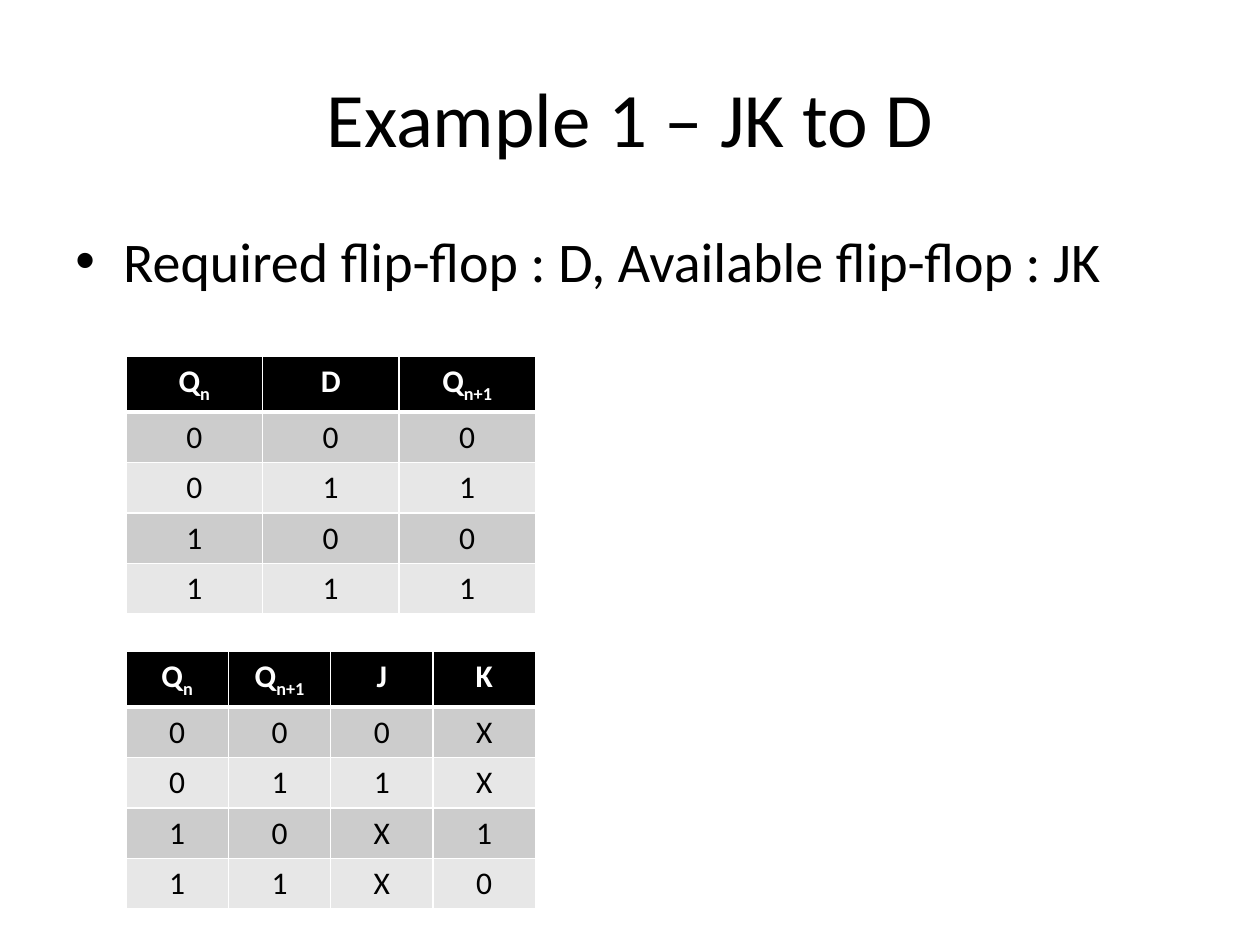
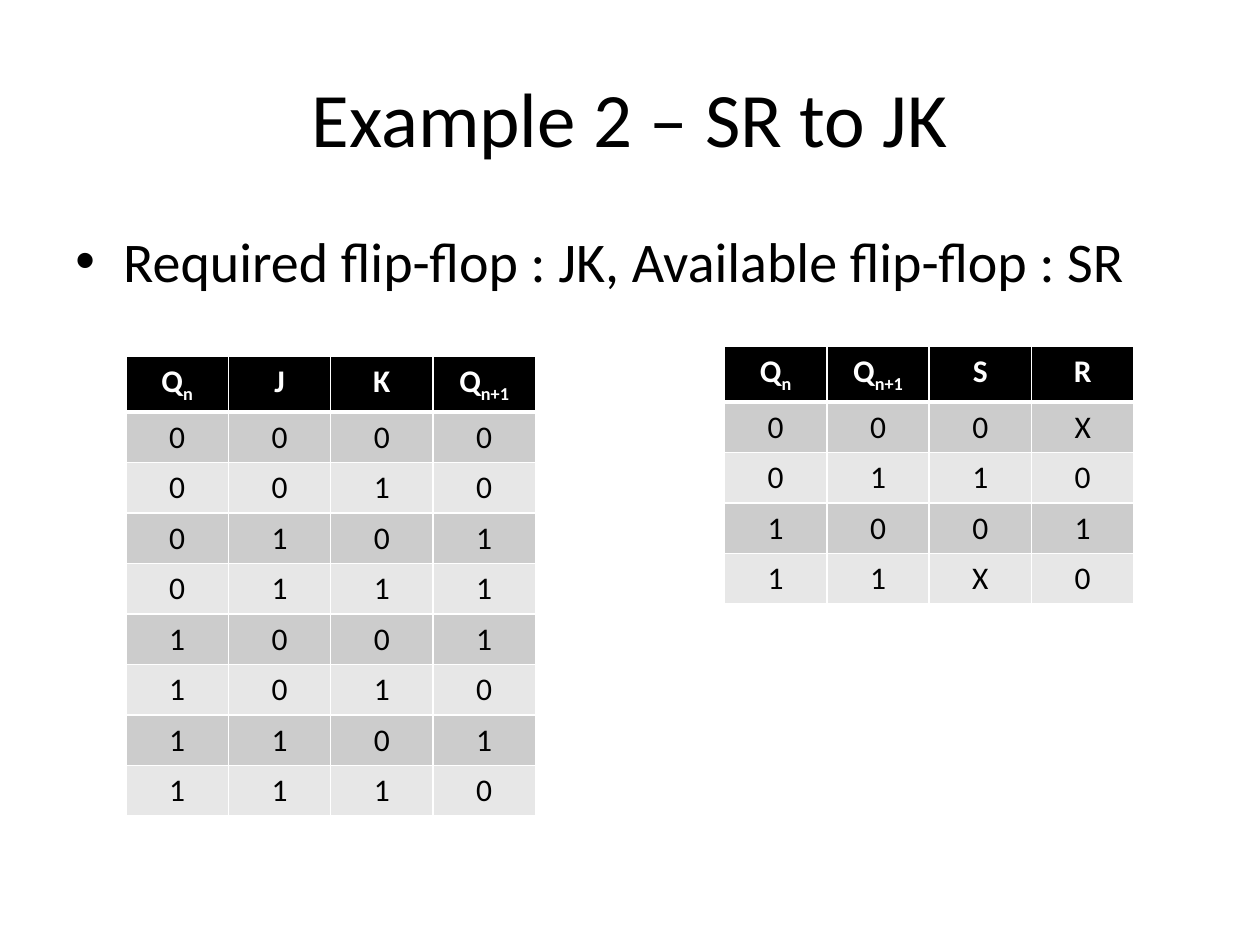
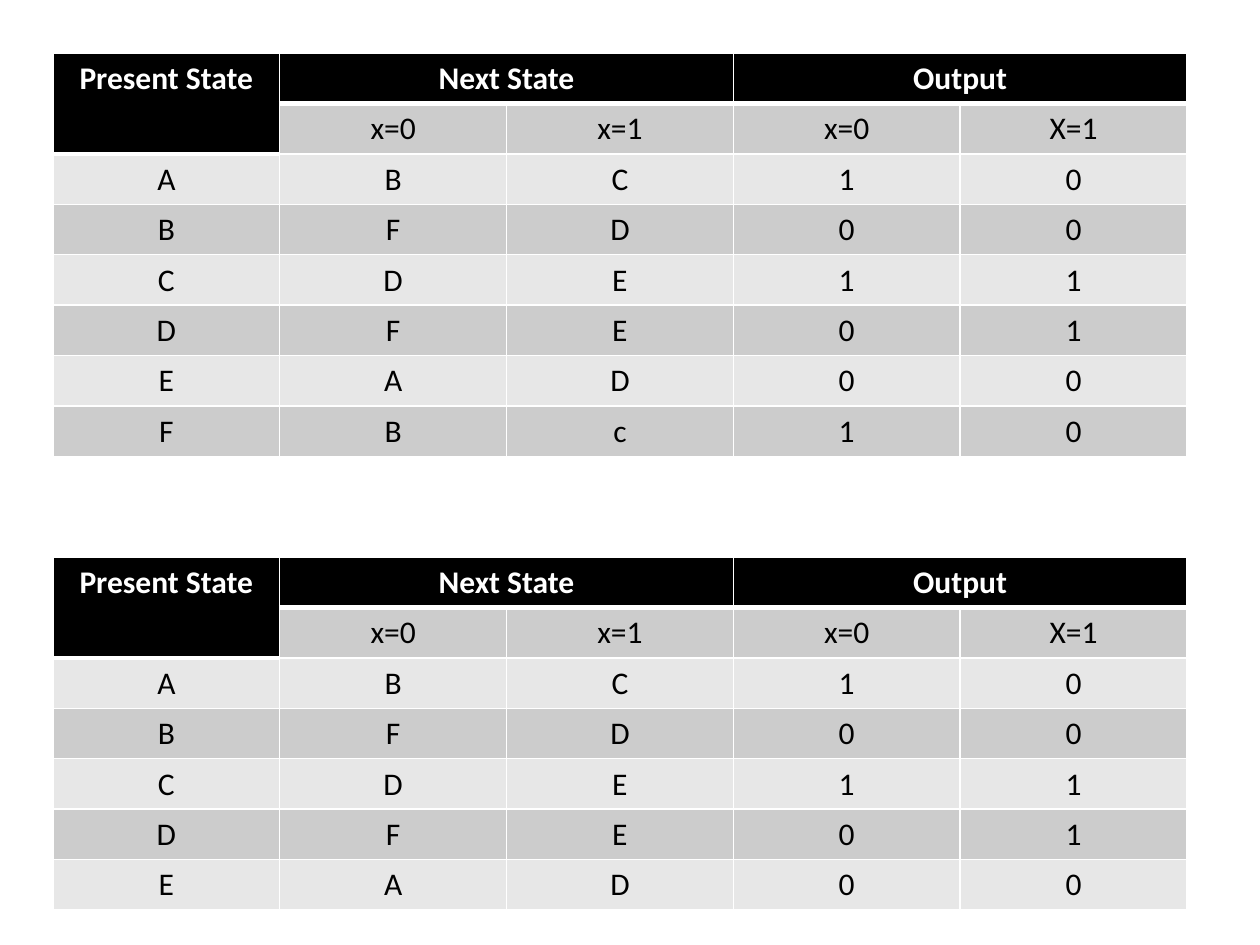
import pptx
import pptx.dml.color
import pptx.enum.text
import pptx.oxml.ns
import pptx.util
import lxml.etree

Inches = pptx.util.Inches
Pt = pptx.util.Pt
qn = pptx.oxml.ns.qn
PP_ALIGN = pptx.enum.text.PP_ALIGN
MSO_ANCHOR = pptx.enum.text.MSO_ANCHOR

FONT = "Calibri"
BLACK, WHITE = "000000", "FFFFFF"
BANDS = ["E7E7E7", "CCCCCC"]
ROW_H = 0.4


def rgb(value):
    return pptx.dml.color.RGBColor.from_string(value)


def write(p, text, size=18, color=BLACK, bold=False, align=PP_ALIGN.CENTER):
    p.alignment = align
    base, _, sub = text.partition("_")
    for part, offset in ((base, None), (sub, "-25000")):
        if not part:
            continue
        r = p.add_run()
        r.text = part
        r.font.name = FONT
        r.font.size = Pt(size)
        r.font.bold = bold
        r.font.color.rgb = rgb(color)
        if offset:
            r.font._element.set("baseline", offset)


d_rows = ["Q_n|D|Q_n+1", "0|0|0", "0|1|1", "1|0|0", "1|1|1"]
jk_excitation = ["Q_n|Q_n+1|J|K", "0|0|0|X", "0|1|1|X", "1|0|X|1", "1|1|X|0"]
jk_rows = ["Q_n|J|K|Q_n+1", "0|0|0|0", "0|0|1|0", "0|1|0|1", "0|1|1|1",
           "1|0|0|1", "1|0|1|0", "1|1|0|1", "1|1|1|0"]
sr_excitation = ["Q_n|Q_n+1|S|R", "0|0|0|X", "0|1|1|0", "1|0|0|1", "1|1|X|0"]
state_rows = ["Present State|Next State||Output|", "|x=0|x=1|x=0|X=1",
              "A|B|C|1|0", "B|F|D|0|0", "C|D|E|1|1", "D|F|E|0|1",
              "E|A|D|0|0", "F|B|c|1|0"]
state_merges = [(0, 0, 1, 0), (0, 1, 0, 2), (0, 3, 0, 4)]

slides = [
    ("Example 1 – JK to D",
     "Required flip-flop : D, Available flip-flop : JK",
     [(1, 2.83, 3.25, d_rows, []), (1, 5.17, 3.25, jk_excitation, [])]),
    ("Example 2 – SR to JK",
     "Required flip-flop : JK, Available flip-flop : SR",
     [(1, 2.83, 3.25, jk_rows, []), (5.75, 2.75, 3.25, sr_excitation, [])]),
    (None, None,
     [(0.42, 0.42, 9, state_rows, state_merges),
      (0.42, 4.42, 9, state_rows[:-1], state_merges)]),
]

prs = pptx.Presentation()
prs.slide_width = Inches(10)
prs.slide_height = Inches(7.5)

for title, bullet, tables in slides:
    s = prs.slides.add_slide(prs.slide_layouts[5 if title else 6])
    if title:
        sp = s.shapes.title
        sp.left, sp.top = Inches(0.5), Inches(0.3)
        sp.width, sp.height = Inches(9), Inches(1.25)
        sp.text_frame.vertical_anchor = MSO_ANCHOR.MIDDLE
        write(sp.text_frame.paragraphs[0], title, size=44)

        sp = s.shapes.add_textbox(Inches(0.5), Inches(1.75), Inches(9), Inches(0.7))
        tf = sp.text_frame
        tf.word_wrap = True
        p = tf.paragraphs[0]
        pPr = p._p.get_or_add_pPr()
        pPr.set("marL", str(Inches(0.38)))
        pPr.set("indent", str(-Inches(0.38)))
        lxml.etree.SubElement(pPr, qn("a:buFont"), typeface="Arial")
        lxml.etree.SubElement(pPr, qn("a:buChar"), char="•")
        write(p, bullet, size=32, align=PP_ALIGN.LEFT)

    for left, top, width, rows, merges in tables:
        grid = [row.split("|") for row in rows]
        n_cols = len(grid[0])
        table = s.shapes.add_table(len(grid), n_cols, Inches(left), Inches(top),
                                   Inches(width), Inches(ROW_H * len(grid))).table
        table.first_row = False
        table.horz_banding = False
        for r1, c1, r2, c2 in merges:
            table.cell(r1, c1).merge(table.cell(r2, c2))
        for i, row in enumerate(grid):
            for j, text in enumerate(row):
                cell = table.cell(i, j)
                header = i == 0 or not text
                below_header = i > 0 and (i == 1 or not grid[i - 1][j])
                tcPr = cell._tc.get_or_add_tcPr()
                for side, line_w in (("L", 1), ("R", 1), ("T", 3 if below_header else 1),
                                     ("B", 3 if header else 1)):
                    ln = lxml.etree.SubElement(tcPr, qn("a:ln" + side), w=str(Pt(line_w)))
                    fill = lxml.etree.SubElement(ln, qn("a:solidFill"))
                    lxml.etree.SubElement(fill, qn("a:srgbClr"), val=WHITE)
                cell.fill.solid()
                cell.fill.fore_color.rgb = rgb(BLACK if header else BANDS[i % 2])
                write(cell.text_frame.paragraphs[0], text,
                      color=WHITE if header else BLACK, bold=header)

prs.save("out.pptx")
